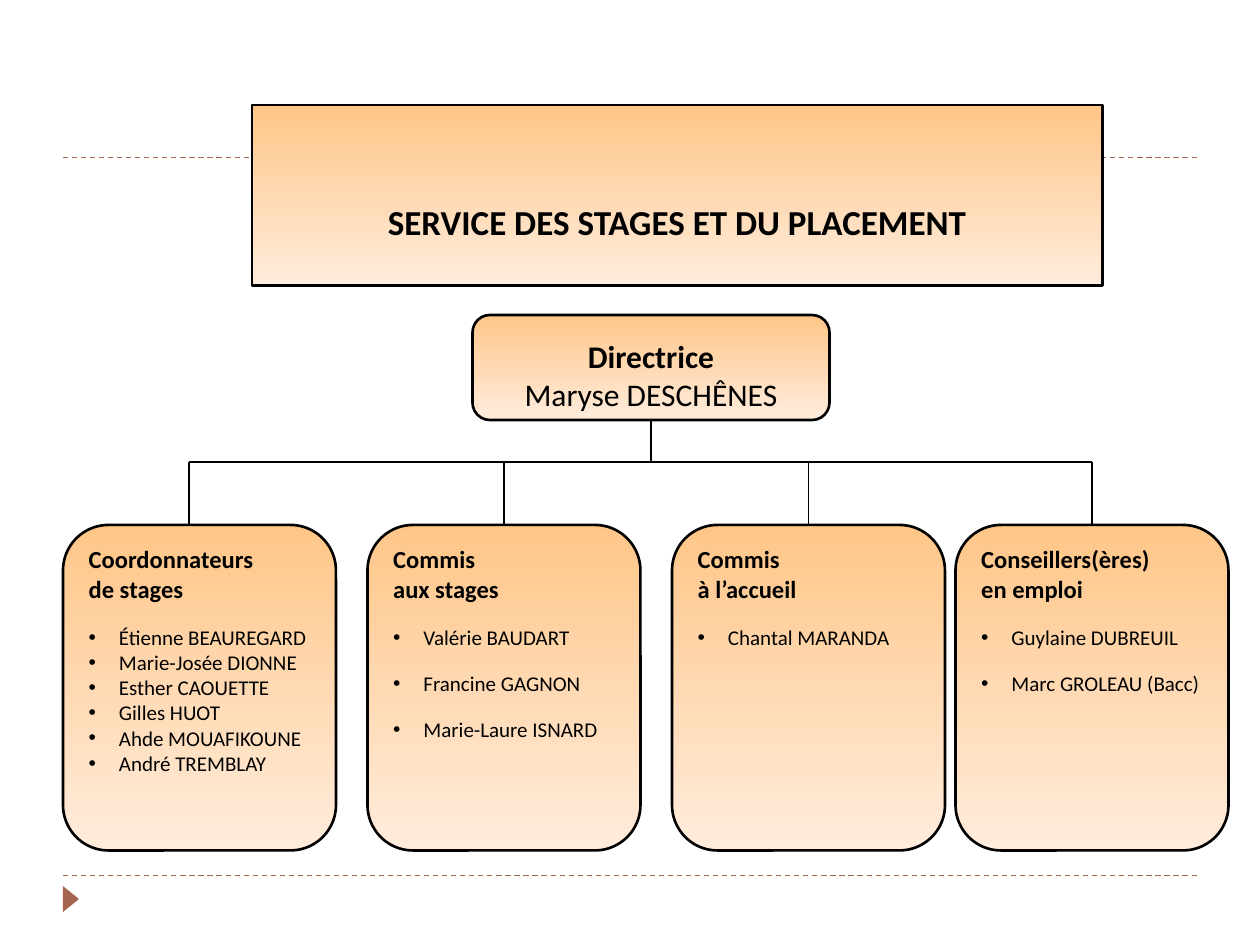
from lxml import etree
from pptx import Presentation, util as u
from pptx.dml.color import RGBColor
from pptx.enum import dml, shapes, text
from pptx.oxml import ns

FONT = "Calibri"
BLACK, RUST = "000000", "A5644E"
ROW_BUS, ROW_STAFF = 44, 50
STAFF_WIDTH, STAFF_HEIGHT = 26, 31
TEAMS = [
    (6, 18, ["Coordonnateurs", "de stages"], 0,
     ["Étienne BEAUREGARD", "Marie-Josée DIONNE", "Esther CAOUETTE",
      "Gilles HUOT", "Ahde MOUAFIKOUNE", "André TREMBLAY"]),
    (35, 48, ["Commis", "aux stages"], 12,
     ["Valérie BAUDART", "Francine GAGNON", "Marie-Laure ISNARD"]),
    (64, 77, ["Commis", "à l’accueil"], 12, ["Chantal MARANDA"]),
    (91, 104, ["Conseillers(ères)", "en emploi"], 12,
     ["Guylaine DUBREUIL", "Marc GROLEAU (Bacc)"]),
]


def grid(n):
    return u.Inches(n / 12)


def color(value):
    return RGBColor.from_string(value)


def add_line(s, start, end, width=1, ink=BLACK, dashed=False):
    c = s.shapes.add_connector(shapes.MSO_CONNECTOR.STRAIGHT,
                               *(grid(n) for n in (*start, *end)))
    c.line.color.rgb = color(ink)
    c.line.width = u.Pt(width)
    if dashed:
        c.line.dash_style = dml.MSO_LINE.DASH
    etree.SubElement(c._element.spPr, ns.qn("a:effectLst"))
    return c


def style_box(sp, anchor):
    sp.fill.gradient()
    sp.fill.gradient_angle = 270
    for stop, value in zip(sp.fill.gradient_stops, ("FFC688", "FFECDC")):
        stop.color.rgb = color(value)
    sp.line.color.rgb = color(BLACK)
    sp.line.width = u.Pt(1.5)
    sp.shadow.inherit = False
    tf = sp.text_frame
    tf.word_wrap = True
    tf.auto_size = text.MSO_AUTO_SIZE.NONE
    tf.vertical_anchor = anchor


def add_box(s, left, top, width, height, anchor):
    sp = s.shapes.add_shape(shapes.MSO_SHAPE.FLOWCHART_ALTERNATE_PROCESS,
                            *(grid(n) for n in (left, top, width, height)))
    style_box(sp, anchor)
    return sp


def format_paragraph(p, size, bold, align, before=0):
    p.alignment = align
    p.space_before = u.Pt(before)
    for r in p.runs:
        r.font.name = FONT
        r.font.size = u.Pt(size)
        r.font.bold = bold
        r.font.color.rgb = color(BLACK)


def add_bullet(p):
    pPr = p._p.get_or_add_pPr()
    pPr.set("marL", str(u.Inches(0.24)))
    pPr.set("indent", str(-u.Inches(0.24)))
    bullet_font = etree.SubElement(pPr, ns.qn("a:buFont"))
    bullet_font.set("typeface", "Arial")
    etree.SubElement(pPr, ns.qn("a:buChar")).set("char", "•")


def add_title(s, wording):
    sp = s.shapes.title
    sp.left, sp.top, sp.width, sp.height = map(grid, (24, 10, 81, 17.2))
    geometry = etree.SubElement(sp._element.spPr, ns.qn("a:prstGeom"))
    geometry.set("prst", "flowChartAlternateProcess")
    etree.SubElement(geometry, ns.qn("a:avLst"))
    style_box(sp, text.MSO_ANCHOR.MIDDLE)
    tf = sp.text_frame
    tf.text = wording
    tf.margin_top = u.Inches(0.46)
    format_paragraph(tf.paragraphs[0], 20, True, text.PP_ALIGN.CENTER)
    s.shapes._spTree.append(sp._element)


def add_director(s):
    sp = add_box(s, 45, 30, 34, 10, text.MSO_ANCHOR.MIDDLE)
    tf = sp.text_frame
    tf.text = "Directrice\nMaryse DESCHÊNES"
    tf.margin_top, tf.margin_bottom = u.Inches(0.12), 0
    for p, bold in zip(tf.paragraphs, (True, False)):
        format_paragraph(p, 18, bold, text.PP_ALIGN.CENTER)
    stem = add_line(s, (62, 40), (62, ROW_BUS), 0.75)
    stem.begin_connect(sp, 2)


def add_team(s, left, stem_column, heading, gap, members):
    stem = add_line(s, (stem_column, ROW_BUS), (stem_column, ROW_STAFF))
    sp = add_box(s, left, ROW_STAFF, STAFF_WIDTH, STAFF_HEIGHT,
                 text.MSO_ANCHOR.TOP)
    if stem_column == left + STAFF_WIDTH / 2:
        stem.end_connect(sp, 0)
    tf = sp.text_frame
    tf.text = "\n".join(heading + members)
    split = len(heading)
    for p in tf.paragraphs[:split]:
        format_paragraph(p, 14, True, text.PP_ALIGN.LEFT)
    for i, p in enumerate(tf.paragraphs[split:]):
        add_bullet(p)
        format_paragraph(p, 12, False, text.PP_ALIGN.LEFT, gap if i else 12)


def add_decoration(s):
    for row in (83.4, 15):
        add_line(s, (6, row), (114, row), 0.75, RUST, dashed=True)
    sp = s.shapes.add_shape(shapes.MSO_SHAPE.ISOSCELES_TRIANGLE,
                            *map(grid, (5.5, 84.85, 2.5, 1.55)))
    sp.rotation = 90
    sp.fill.solid()
    sp.fill.fore_color.rgb = color(RUST)
    sp.line.fill.background()
    sp.shadow.inherit = False


def main():
    prs = Presentation()
    prs.slide_width, prs.slide_height = grid(120), grid(90)
    s = prs.slides.add_slide(prs.slide_layouts[5])
    add_decoration(s)
    add_title(s, "SERVICE DES STAGES ET DU PLACEMENT")
    add_director(s)
    add_line(s, (TEAMS[0][1], ROW_BUS), (TEAMS[-1][1], ROW_BUS))
    for team in TEAMS:
        add_team(s, *team)
    prs.save("out.pptx")


if __name__ == "__main__":
    main()
